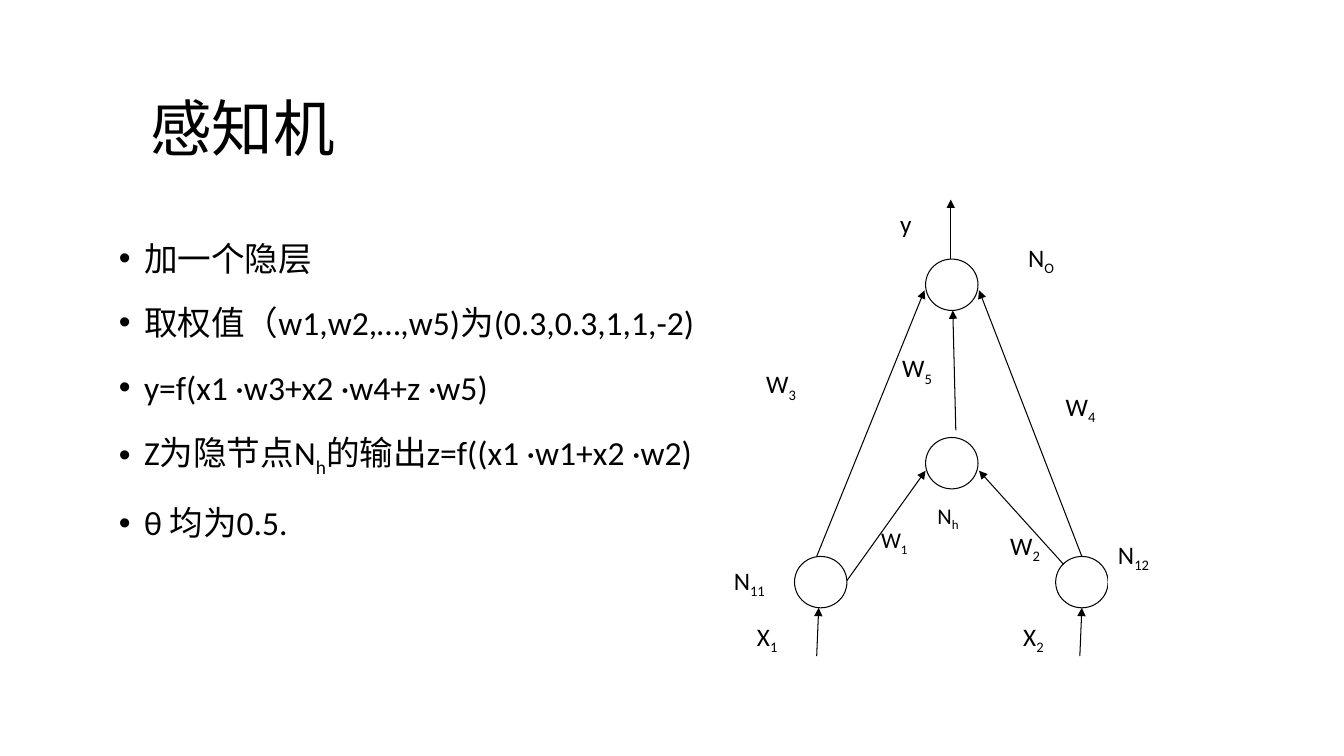
from pptx import Presentation
from pptx.dml.color import RGBColor
from pptx.enum.shapes import MSO_CONNECTOR as CONN, MSO_SHAPE as SHAPE
from pptx.enum.text import MSO_ANCHOR as ANCHOR, PP_ALIGN as ALIGN
from pptx.oxml.ns import qn
from pptx.util import Inches, Pt
from lxml.etree import SubElement

THEME = {
    "ink": RGBColor(0, 0, 0),
    "paper": RGBColor(255, 255, 255),
    "latin": "Calibri",
    "cjk": "Noto Sans CJK SC",
    "title": 44,
    "body": 24,
    "label": 18,
    "small": 16,
    "line": 0.75,
}

TITLE = "感知机"
BULLETS = [
    [("加一个隐层", False)],
    [("取权值（w1,w2,…,w5)为(0.3,0.3,1,1,-2)", False)],
    [("y=f(x1 ·w3+x2 ·w4+z ·w5)", False)],
    [("Z为隐节点N", False), ("h", True), ("的输出z=f((x1 ·w1+x2 ·w2)", False)],
    [("θ 均为0.5.", False)],
]

NODE_SIZE = (0.52, 0.51)
NODES = [(9.18, 2.57), (9.18, 4.34), (7.88, 5.52), (10.47, 5.52)]
ARROWS = [
    ((8.1, 6.51), (8.12, 6.03)),
    ((10.71, 6.51), (10.73, 6.03)),
    ((8.4, 5.76), (9.18, 4.67)),
    ((10.55, 5.6), (9.71, 4.67)),
    ((8.1, 5.52), (9.17, 2.88)),
    ((10.73, 5.52), (9.71, 2.88)),
    ((9.48, 4.27), (9.45, 3.08)),
    ((9.43, 2.57), (9.43, 1.98)),
]
WEIGHT_LABELS = [
    ("W", "1", (8.64, 5.17, 0.55, 0.32), "small"),
    ("W", "2", (9.92, 5.21, 0.87, 0.53), "label"),
    ("W", "3", (7.5, 3.61, 0.99, 0.73), "label"),
    ("W", "4", (10.47, 3.83, 0.99, 0.73), "label"),
    ("W", "5", (8.85, 3.45, 0.99, 0.73), "label"),
]
NODE_LABELS = [
    ("y", "", (8.83, 2.02, 0.52, 0.47), "label"),
    ("X", "1", (7.41, 6.11, 0.6, 0.39), "label"),
    ("X", "2", (10.05, 6.11, 0.62, 0.55), "label"),
    ("N", "11", (7.18, 5.56, 0.66, 0.41), "label"),
    ("N", "12", (10.99, 5.3, 1.03, 0.73), "label"),
    ("N", "O", (10.1, 2.35, 1.03, 0.73), "label"),
    ("N", "h", (9.2, 4.93, 0.73, 0.31), "small"),
]


def add_run(p, text, size, font="latin", subscript=False):
    r = p.add_run()
    r.text = text
    r.font.size = Pt(THEME[size])
    r.font.name = THEME[font]
    r.font.color.rgb = THEME["ink"]
    props = r.font._element
    SubElement(props, qn("a:ea")).set("typeface", THEME["cjk"])
    if subscript:
        props.set("baseline", "-25000")


def add_text_box(s, box):
    tf = s.shapes.add_textbox(*map(Inches, box)).text_frame
    tf.word_wrap = True
    return tf


def add_bullet(p):
    props = p._p.get_or_add_pPr()
    props.set("marL", str(Inches(0.25)))
    props.set("indent", str(-Inches(0.25)))
    SubElement(props, qn("a:buFont")).set("typeface", "Arial")
    SubElement(props, qn("a:buChar")).set("char", "•")


def add_filled(s, kind, box):
    sp = s.shapes.add_shape(kind, *map(Inches, box))
    sp.shadow.inherit = False
    sp.fill.solid()
    sp.fill.fore_color.rgb = THEME["paper"]
    return sp


def add_label(s, name, index, box, size):
    sp = add_filled(s, SHAPE.RECTANGLE, box)
    sp.line.fill.background()
    tf = sp.text_frame
    tf.word_wrap = True
    tf.vertical_anchor = ANCHOR.TOP
    p = tf.paragraphs[0]
    p.alignment = ALIGN.JUSTIFY
    add_run(p, name, size)
    if index:
        add_run(p, index, size, subscript=True)


def set_line(line):
    line.color.rgb = THEME["ink"]
    line.width = Pt(THEME["line"])


def add_node(s, corner):
    set_line(add_filled(s, SHAPE.OVAL, corner + NODE_SIZE).line)


def add_arrow(s, start, end):
    cx = s.shapes.add_connector(CONN.STRAIGHT, *map(Inches, start + end))
    set_line(cx.line)
    SubElement(cx.line._get_or_add_ln(), qn("a:tailEnd")).set("type", "triangle")
    SubElement(cx._element.spPr, qn("a:effectLst"))


def main():
    prs = Presentation()
    prs.slide_width, prs.slide_height = Inches(13.33), Inches(7.5)
    s = prs.slides.add_slide(prs.slide_layouts[6])

    tf = add_text_box(s, (1.39, 0.68, 11.65, 1.25))
    tf.vertical_anchor = ANCHOR.MIDDLE
    tf.paragraphs[0].line_spacing = 0.9
    add_run(tf.paragraphs[0], TITLE, "title", "cjk")

    tf = add_text_box(s, (1.08, 2.21, 6.05, 4.5))
    for i, runs in enumerate(BULLETS):
        p = tf.add_paragraph() if i else tf.paragraphs[0]
        add_bullet(p)
        p.line_spacing = 1.25
        p.space_before = Pt(10 if i else 0)
        for text, subscript in runs:
            add_run(p, text, "body", subscript=subscript)

    for label in WEIGHT_LABELS:
        add_label(s, *label)
    for corner in NODES:
        add_node(s, corner)
    for start, end in ARROWS:
        add_arrow(s, start, end)
    for label in NODE_LABELS:
        add_label(s, *label)

    prs.save("out.pptx")


if __name__ == "__main__":
    main()
